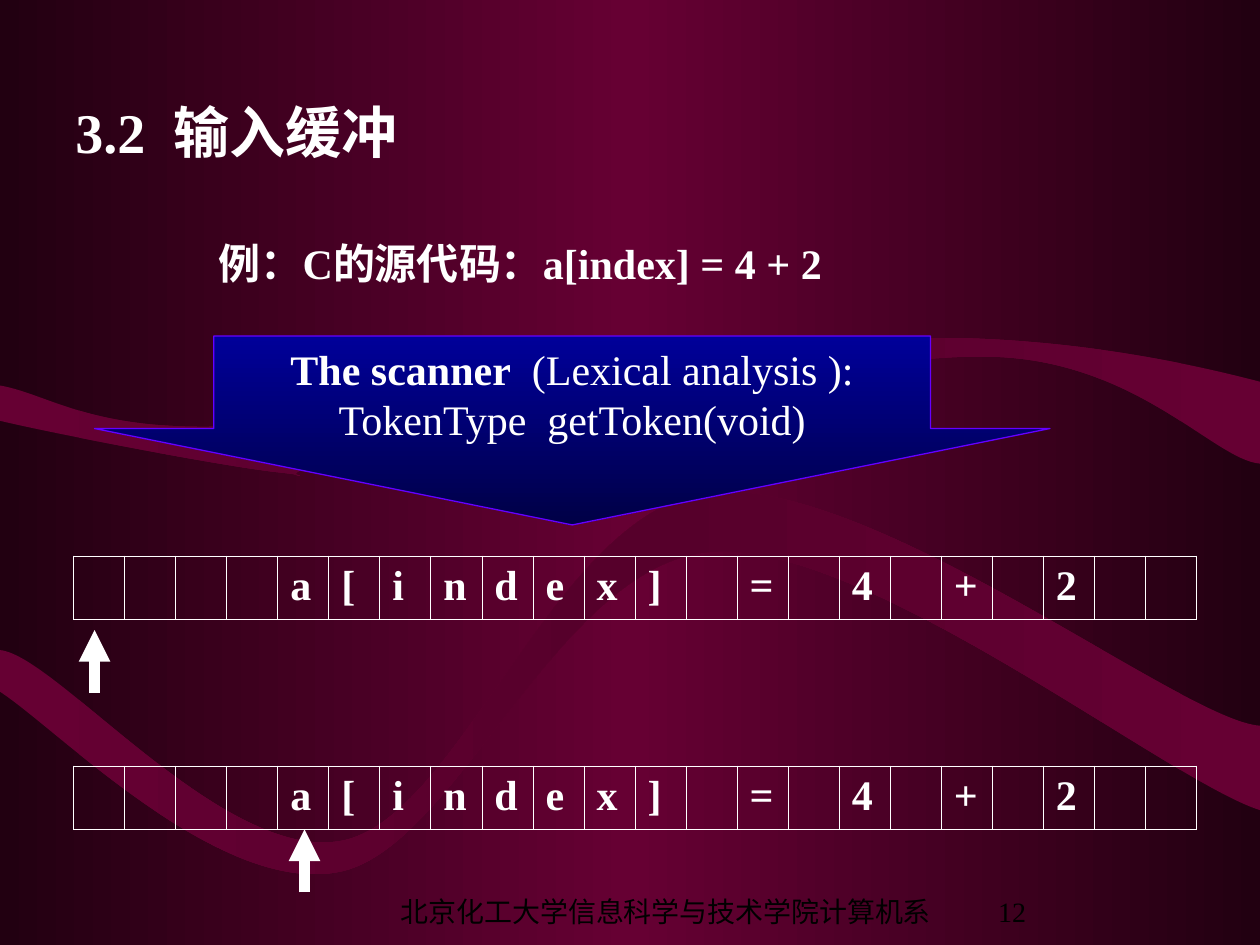
"""Build the input buffering slide: a scanner reading a line of C source."""
from dataclasses import dataclass

from lxml import etree
from pptx import Presentation, util as u
from pptx.dml.color import RGBColor
from pptx.enum import shapes, text
from pptx.oxml import ns


@dataclass(frozen=True)
class Theme:
    font: str = "Times New Roman"
    title: int = 32
    body: int = 24
    footer: int = 16
    white: str = "FFFFFF"
    black: str = "000000"
    edge: str = "6600FF"
    backdrop: tuple = ("220011", "660033", "220011")
    ribbon: tuple = ("660033", "56002B", "660033")
    scanner: tuple = ("000099", "000046")


THEME = Theme()
COLUMNS, ROWS = 120, 90
UNIT = u.Inches(10) / COLUMNS

RIBBONS = [
    [(0, 3.06), (0, 3.34),
     (0.37, 3.43, 1.75, 3.7, 2.22, 3.75), (2.69, 3.8, 1.9, 3.79, 2.82, 3.64),
     (3.75, 3.48, 6.6, 2.82, 7.8, 2.83), (9, 2.83, 9.63, 3.65, 10, 3.68),
     (10, 3.03),
     (9.5, 2.9, 8.36, 2.63, 7.01, 2.69), (5.66, 2.74, 3.07, 3.32, 1.9, 3.38),
     (0.73, 3.44, 0.4, 3.13, 0, 3.06)],
    [(0, 5.16), (0, 5.49),
     (0.45, 5.78, 1.74, 7.11, 2.69, 6.92), (3.63, 6.74, 4.43, 4.46, 5.65, 4.38),
     (6.87, 4.29, 9.27, 6.2, 10, 6.43),
     (10, 5.76),
     (9.38, 5.72, 6.91, 3.77, 5.62, 3.91), (4.41, 4.06, 3.67, 6.46, 2.73, 6.67),
     (1.79, 6.87, 0.45, 5.2, 0, 5.16)],
]
TITLE = "3.2  输入缓冲"
EXAMPLE = "例：C的源代码：a[index] = 4 + 2"
SCANNER = [
    [("The scanner", True), ("  (Lexical analysis ):", False)],
    [("TokenType  getToken(void)", False)],
]
BUFFER = "    a[index] = 4 + 2  "
BUFFER_ROWS = [53, 73]
POINTERS = [(9, 60), (29, 79)]
POINTER_LENGTH = 6
FOOTER = "北京化工大学信息科学与技术学院计算机系"
PAGE_NUMBER = "12"


def grid(*cells):
    return [u.Emu(round(cell * UNIT)) for cell in cells]


def shade(fill, holder, colours, angle):
    fill.gradient()
    fill.gradient_angle = angle
    stops = next(holder.iter(ns.qn("a:gsLst")))
    for stop in list(stops):
        stops.remove(stop)
    for index, colour in enumerate(colours):
        position = 100000 * index // (len(colours) - 1)
        stop = etree.SubElement(stops, ns.qn("a:gs"), pos=str(position))
        etree.SubElement(stop, ns.qn("a:srgbClr"), val=colour)


def add_span(para, words, size, colour, bold):
    span = para.add_run()
    span.text = words
    span.font.name = THEME.font
    span.font.size = u.Pt(size)
    span.font.bold = bold
    span.font.color.rgb = RGBColor.from_string(colour)


def add_label(page, place, words, size, colour=THEME.white, bold=True,
              anchor=text.MSO_ANCHOR.TOP, align=text.PP_ALIGN.LEFT):
    frame = page.shapes.add_textbox(*grid(*place)).text_frame
    frame.word_wrap = True
    frame.vertical_anchor = anchor
    para = frame.paragraphs[0]
    para.alignment = align
    add_span(para, words, size, colour, bold)
    return frame


def bend(ribbon, segments):
    lines = ribbon.element.iter(ns.qn("a:lnTo"))
    steps = iter(list(lines))
    for segment in segments:
        first = next(steps)
        if len(segment) == 6:
            first.tag = ns.qn("a:cubicBezTo")
            for _ in range(2):
                step = next(steps)
                first.append(step[0])
                step.getparent().remove(step)


def add_ribbon(page, outline):
    points = [(u.Inches(part[i]), u.Inches(part[i + 1]))
              for part in outline for i in range(0, len(part), 2)]
    builder = page.shapes.build_freeform(*points[0])
    builder.add_line_segments(points[1:], close=True)
    ribbon = builder.convert_to_shape()
    bend(ribbon, outline[1:])
    ribbon.shadow.inherit = False
    ribbon.line.fill.background()
    shade(ribbon.fill, ribbon.element, THEME.ribbon, 180)


def add_scanner(page):
    arrow = page.shapes.add_shape(shapes.MSO_SHAPE.DOWN_ARROW, *grid(9, 32, 91, 18))
    arrow.adjustments[0], arrow.adjustments[1] = 0.75, 0.51
    arrow.shadow.inherit = False
    shade(arrow.fill, arrow.element, THEME.scanner, 270)
    arrow.line.color.rgb = RGBColor.from_string(THEME.edge)
    arrow.line.width = u.Pt(0.75)
    frame = arrow.text_frame
    frame.word_wrap = False
    frame.vertical_anchor = text.MSO_ANCHOR.TOP
    frame.margin_top = u.Inches(0.06)
    for index, spans in enumerate(SCANNER):
        para = frame.add_paragraph() if index else frame.paragraphs[0]
        para.alignment = text.PP_ALIGN.CENTER
        for words, bold in spans:
            add_span(para, words, THEME.body, THEME.white, bold)


def border(cell):
    properties = cell._tc.get_or_add_tcPr()
    for index, (side, width) in enumerate(
            [("L", 0.45), ("R", 0.45), ("T", 1.08), ("B", 1.08)]):
        line = etree.Element(ns.qn(f"a:ln{side}"), w=str(u.Pt(width)))
        solid = etree.SubElement(line, ns.qn("a:solidFill"))
        etree.SubElement(solid, ns.qn("a:srgbClr"), val=THEME.white)
        properties.insert(index, line)


def add_buffer(page, row):
    place = grid(7, row, 107, 6)
    table = page.shapes.add_table(1, len(BUFFER), *place).table
    table.first_row = table.horz_banding = False
    for index, symbol in enumerate(BUFFER):
        table.columns[index].width = u.Emu(place[2] // len(BUFFER))
        cell = table.cell(0, index)
        cell.fill.background()
        border(cell)
        if symbol != " ":
            add_span(cell.text_frame.paragraphs[0], symbol, THEME.body, THEME.white, True)


def add_pointer(page, column, row):
    pointer = page.shapes.add_connector(
        shapes.MSO_CONNECTOR.STRAIGHT, *grid(column, row + POINTER_LENGTH, column, row))
    pointer.line.color.rgb = RGBColor.from_string(THEME.white)
    pointer.line.width = u.Pt(6)
    line = next(pointer.element.iter(ns.qn("a:ln")))
    etree.SubElement(line, ns.qn("a:tailEnd"), type="triangle")
    etree.SubElement(line.getparent(), ns.qn("a:effectLst"))


def main():
    deck = Presentation()
    deck.slide_width, deck.slide_height = grid(COLUMNS, ROWS)
    page = deck.slides.add_slide(deck.slide_layouts[6])
    shade(page.background.fill, page.element, THEME.backdrop, 180)
    for outline in RIBBONS:
        add_ribbon(page, outline)
    add_label(page, (6, 5, 102, 15), TITLE, THEME.title, anchor=text.MSO_ANCHOR.MIDDLE)
    add_scanner(page)
    for row in BUFFER_ROWS:
        add_buffer(page, row)
    for column, row in POINTERS:
        add_pointer(page, column, row)
    example = add_label(page, (19.65, 22, 63.5, 6), EXAMPLE, THEME.body)
    example.auto_size = text.MSO_AUTO_SIZE.SHAPE_TO_FIT_TEXT
    for place, words in [((34, 85, 56, 4), FOOTER), ((88.6, 85, 12.7, 4), PAGE_NUMBER)]:
        frame = add_label(page, place, words, THEME.footer, THEME.black, False,
                          text.MSO_ANCHOR.BOTTOM, text.PP_ALIGN.CENTER)
        frame.margin_left, frame.margin_right = u.Inches(0.24), 0
    deck.save("out.pptx")


if __name__ == "__main__":
    main()
